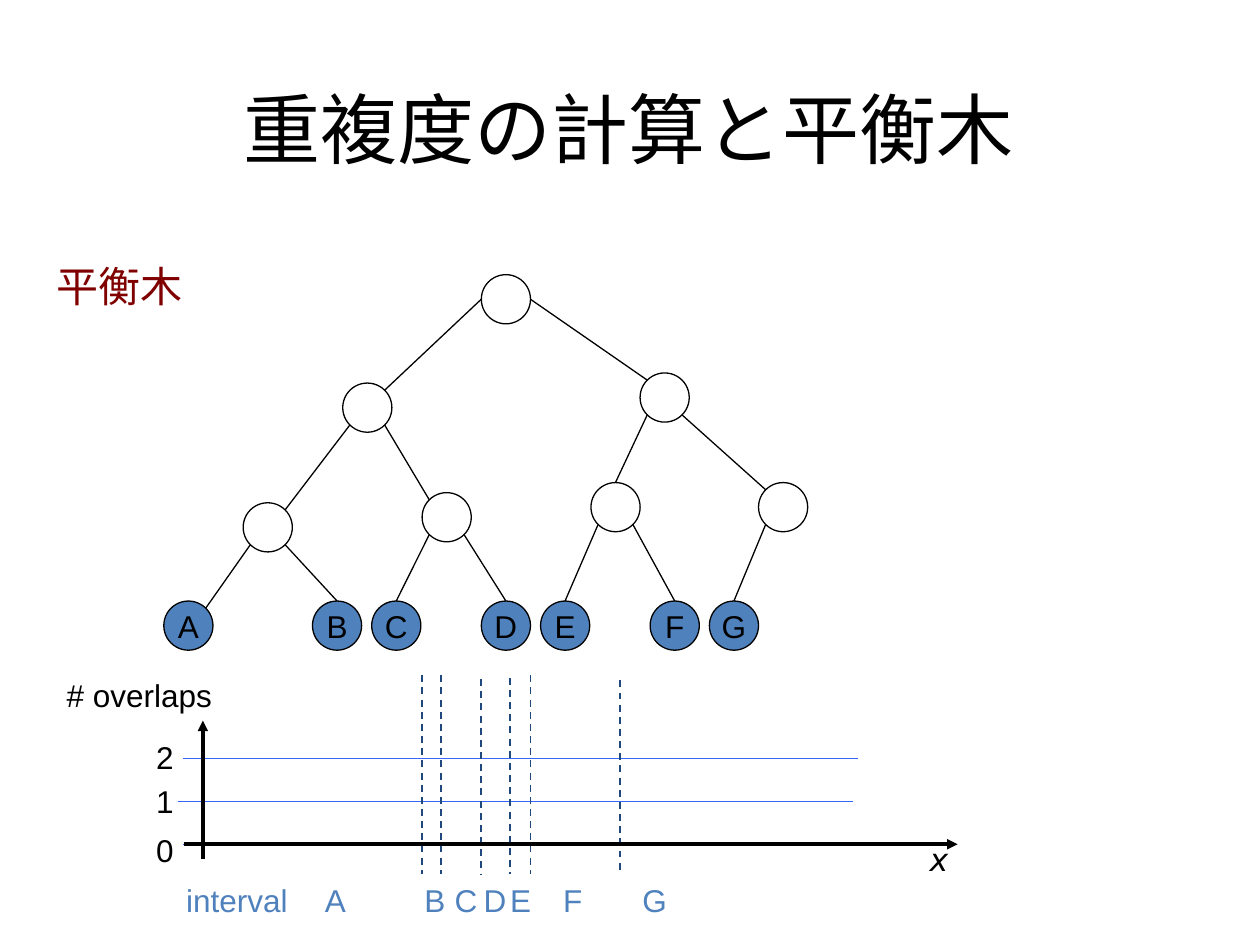
from dataclasses import dataclass

from lxml import etree
from pptx import Presentation
from pptx import util as u
from pptx.dml.color import RGBColor
from pptx.enum import dml, shapes, text
from pptx.oxml import ns

PX = 9144  # 100 px to the inch


@dataclass(frozen=True)
class Theme:
    black: str = "000000"
    blue: str = "4F81BD"
    navy: str = "1F497D"
    grid: str = "3366FF"
    maroon: str = "800000"
    font: str = "Arial"
    title_font: str = "Quicksand"
    axis_font: str = "DejaVu Sans"
    title_size: int = 44
    heading_size: int = 24
    body_size: int = 18
    thin: float = 0.75
    dashed: float = 1
    axis: float = 2


T = Theme()


def emu(*lengths):
    return [u.Emu(round(n * PX)) for n in lengths]


def write(tf, words, size=T.body_size, color=T.black, font=T.font,
          italic=None, align=None, anchor=None, wrap=False, grow=False):
    tf.word_wrap = wrap
    tf.auto_size = (text.MSO_AUTO_SIZE.SHAPE_TO_FIT_TEXT if grow
                    else text.MSO_AUTO_SIZE.NONE)
    if anchor is not None:
        tf.vertical_anchor = anchor
    p = tf.paragraphs[0]
    if align is not None:
        p.alignment = align
    r = p.add_run()
    r.text = words
    r.font.size = u.Pt(size)
    r.font.name = font
    r.font.italic = italic
    r.font.color.rgb = RGBColor.from_string(color)
    return p


def label(s, words, x, y, w, h=40, **fmt):
    sp = s.shapes.add_textbox(*emu(x, y, w, h))
    write(sp.text_frame, words, grow=True, **fmt)


def line(s, start, end, color=T.black, width=T.thin, dash=False, arrow=False):
    cn = s.shapes.add_connector(shapes.MSO_CONNECTOR.STRAIGHT,
                                *emu(*start, *end))
    cn.line.color.rgb = RGBColor.from_string(color)
    cn.line.width = u.Pt(width)
    if dash:
        cn.line.dash_style = dml.MSO_LINE.DASH
    sp_pr = cn._element.spPr
    if arrow:
        etree.SubElement(sp_pr.find(ns.qn("a:ln")), ns.qn("a:tailEnd"),
                         type="triangle")
    etree.SubElement(sp_pr, ns.qn("a:effectLst"))


def add_title(s, x, y, w, h):
    sp = s.shapes.title
    sp.left, sp.top, sp.width, sp.height = emu(x, y, w, h)
    p = write(sp.text_frame, "重複度の計算と平衡木", size=T.title_size,
              font=T.title_font, align=text.PP_ALIGN.CENTER,
              anchor=text.MSO_ANCHOR.BOTTOM, wrap=True)
    p.line_spacing = u.Pt(58)


def add_node(s, x, y, size, name=None):
    sp = s.shapes.add_shape(shapes.MSO_SHAPE.OVAL, *emu(x, y, size, size))
    sp.shadow.inherit = False
    sp.line.color.rgb = RGBColor.from_string(T.black)
    sp.line.width = u.Pt(T.thin)
    if name is None:
        sp.fill.background()
        return
    sp.fill.solid()
    sp.fill.fore_color.rgb = RGBColor.from_string(T.blue)
    write(sp.text_frame, name, align=text.PP_ALIGN.CENTER,
          anchor=text.MSO_ANCHOR.MIDDLE)


def add_tree(s, x, y):
    size, leaf_y = 39, 259
    inner = {"root": (252, 0), "l": (142, 86), "r": (378, 78),
             "ll": (63, 181), "lr": (205, 173),
             "rl": (339, 165), "rr": (472, 165)}
    leaves = dict(zip("ABCDEFG", (0, 118, 165, 252, 299, 386, 433)))
    nodes = {**inner, **{name: (left, leaf_y) for name, left in leaves.items()}}

    # Points on a circle, as directions from its centre
    d = 0.5 ** 0.5
    sites = {"n": (0, -1), "w": (-1, 0), "e": (1, 0),
             "nw": (-d, -d), "ne": (d, -d), "sw": (-d, d), "se": (d, d)}

    def point(name, site):
        left, top = nodes[name]
        dx, dy = sites[site]
        return x + left + size / 2 * (1 + dx), y + top + size / 2 * (1 + dy)

    for name, (left, top) in nodes.items():
        add_node(s, x + left, y + top, size, name if name in leaves else None)

    # Parent, its site, child, its site
    edges = [("root", "w", "l", "ne"), ("root", "e", "r", "nw"),
             ("l", "sw", "ll", "ne"), ("l", "se", "lr", "nw"),
             ("r", "sw", "rl", "n"), ("r", "se", "rr", "nw"),
             ("ll", "sw", "A", "ne"), ("ll", "se", "B", "n"),
             ("lr", "sw", "C", "n"), ("lr", "se", "D", "n"),
             ("rl", "sw", "E", "n"), ("rl", "se", "F", "n"),
             ("rr", "sw", "G", "n")]
    for parent, out, child, into in edges:
        line(s, point(parent, out), point(child, into))


def add_overlap_plot(s, x, y):
    base, step, bottom = y + 138, 34, y + 162

    # Level lines and their numbers
    for level, (left, label_y) in enumerate([(102, 123), (98, 84), (102, 49)]):
        level_y = base - level * step
        line(s, (x + left, level_y), (x + left + 536, level_y), color=T.grid)
        label(s, str(level), x + 71, y + label_y, 34)

    # Interval boundaries
    for left, top in [(292, 4), (307, 4), (339, 7), (362, 6), (378, 4),
                      (449, 8)]:
        line(s, (x + left, y + top), (x + left, bottom), color=T.navy,
             width=T.dashed, dash=True)

    # Interval names
    for name, left, width, wrap in [
            ("interval", 95, 106, False), ("A", 205, 37, True),
            ("B", 284, 36, False), ("C", 308, 38, False),
            ("D", 331, 37, True), ("E", 352, 36, False),
            ("F", 394, 35, False), ("G", 457, 39, False)]:
        label(s, name, x + left, bottom, width, color=T.blue, wrap=wrap)

    # Axes
    line(s, (x + 118, y + 150), (x + 118, y + 40), width=T.axis, arrow=True)
    line(s, (x + 103, base), (x + 717, base), width=T.axis, arrow=True)
    label(s, "# overlaps", x, y, 135)
    label(s, "x", x + 685, y + 130, 32, font=T.axis_font, italic=True,
          wrap=True)


def main():
    prs = Presentation()
    prs.slide_width, prs.slide_height = emu(1000, 750)
    s = prs.slides.add_slide(prs.slide_layouts[5])
    add_title(s, 49, 36, 900, 107)
    label(s, "平衡木", 35, 202, 394, 50, size=T.heading_size, color=T.maroon,
          wrap=True)
    add_tree(s, 130, 218)
    add_overlap_plot(s, 43, 532)
    prs.save("out.pptx")


if __name__ == "__main__":
    main()
